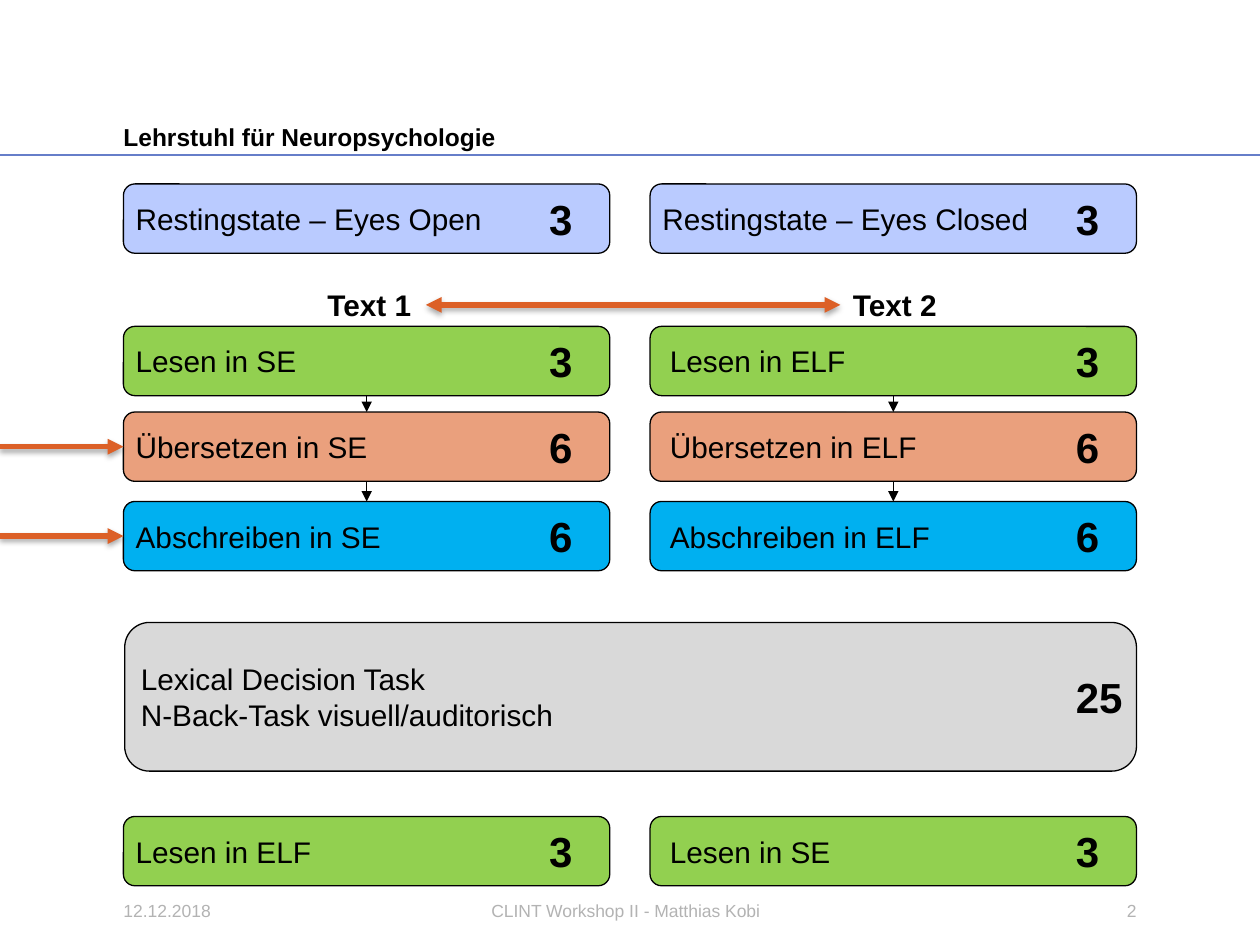
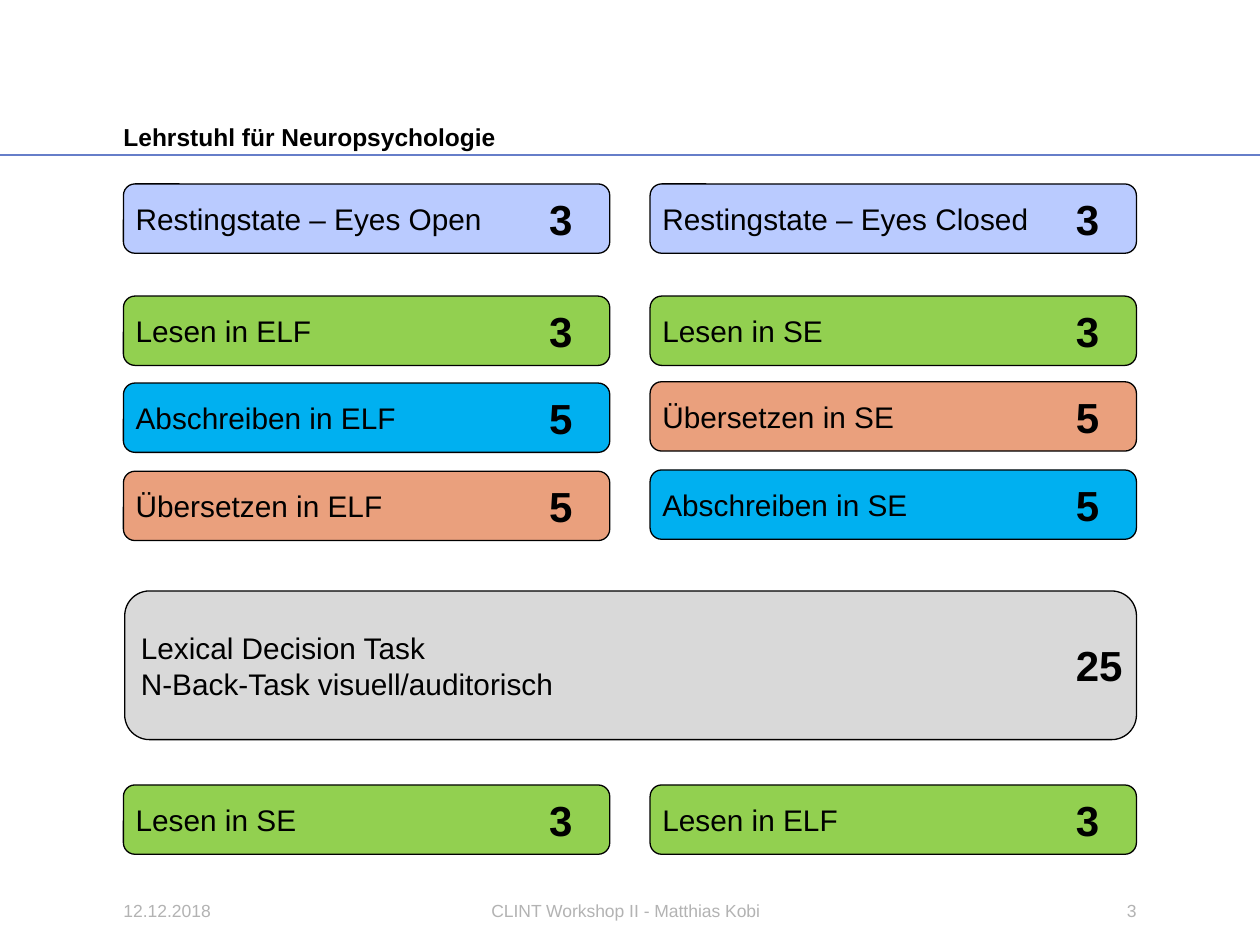
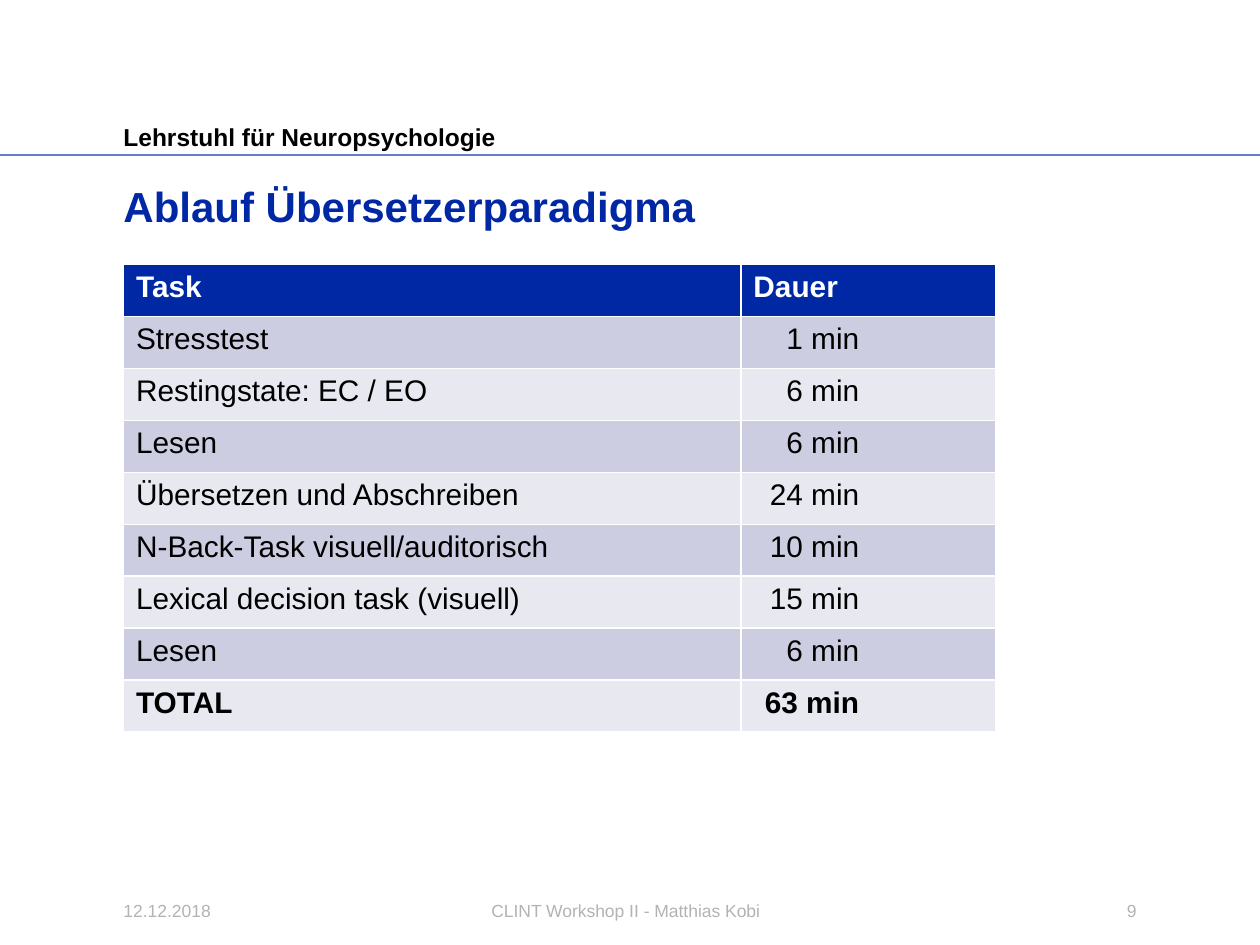
from lxml import etree
from pptx import Presentation
from pptx.dml.color import RGBColor
from pptx.enum.shapes import MSO_CONNECTOR, MSO_SHAPE
from pptx.enum.text import MSO_ANCHOR, MSO_AUTO_SIZE, PP_ALIGN
from pptx.oxml.ns import qn
from pptx.util import Inches, Pt

STRAIGHT, CURVE = MSO_CONNECTOR.STRAIGHT, MSO_CONNECTOR.CURVE
ROUNDED = MSO_SHAPE.ROUNDED_RECTANGLE
TOP, MIDDLE = MSO_ANCHOR.TOP, MSO_ANCHOR.MIDDLE
LEFT, CENTER, RIGHT = PP_ALIGN.LEFT, PP_ALIGN.CENTER, PP_ALIGN.RIGHT
NO_FIT, GROW = MSO_AUTO_SIZE.NONE, MSO_AUTO_SIZE.SHAPE_TO_FIT_TEXT

FONT = "Arial"
BLACK, WHITE, NAVY, ORANGE = "000000", "FFFFFF", "0028A5", "DC6027"
RULE_BLUE, FOOTER_GREY, TEST_GREY = "667EC9", "B3B3B3", "D9D9D9"
BAND_FILLS = ["CCCDE1", "E7E8F0"]
TASK_FILLS = {
    "Restingstate": "BACBFF",
    "Lesen": "92D050",
    "Übersetzen": "EAA07D",
    "Abschreiben": "00B0F0",
}
MARGIN, CONTENT_WIDTH = 0.98, 8.03
COLUMNS = [0.98, 5.16]
TASK_WIDTH, TASK_HEIGHT, TEST_HEIGHT = 3.86, 0.55, 1.18
MINUTES_OFFSET, MINUTES_HEIGHT = 3.28, 0.5
INDENT, WIDE_INDENT = 0.07, 0.13
RESTING = ["Restingstate – Eyes Open", "Restingstate – Eyes Closed"]
TESTS = ["Lexical Decision Task", "N-Back-Task visuell/auditorisch"]
SCHEDULE = [
    ("Task", "Dauer"),
    ("Stresstest", "1 min"),
    ("Restingstate: EC / EO", "6 min"),
    ("Lesen", "6 min"),
    ("Übersetzen und Abschreiben", "24 min"),
    ("N-Back-Task visuell/auditorisch", "10 min"),
    ("Lexical decision task (visuell)", "15 min"),
    ("Lesen", "6 min"),
    ("TOTAL", "63 min"),
]


def rgb(value):
    """Turn a hex string into a colour."""
    return RGBColor.from_string(value)


def write(frame, lines, size, color=BLACK, bold=False, align=LEFT):
    """Fill a text frame with one paragraph for each line."""
    for index, line in enumerate(lines):
        paragraph = frame.add_paragraph() if index else frame.paragraphs[0]
        paragraph.alignment = align
        run = paragraph.add_run()
        run.text = line
        values = {"name": FONT, "size": Pt(size), "bold": bold}
        for key, value in values.items():
            setattr(run.font, key, value)
        run.font.color.rgb = rgb(color)


def set_frame(frame, left=0, top=0, anchor=TOP):
    """Give a fixed, wrapping frame its insets and anchor."""
    values = {
        "margin_left": Inches(left),
        "margin_top": Inches(top),
        "margin_right": Inches(0),
        "margin_bottom": Inches(0),
        "vertical_anchor": anchor,
        "word_wrap": True,
        "auto_size": NO_FIT,
    }
    for key, value in values.items():
        setattr(frame, key, value)


def add_fixed_text(slide, box, text, inset_top=0, **style):
    """Add a text box of fixed size."""
    frame = slide.shapes.add_textbox(*map(Inches, box)).text_frame
    set_frame(frame, top=inset_top)
    write(frame, [text], **style)


def add_bold_label(slide, box, text, size):
    """Add a bold label that grows with its text."""
    frame = slide.shapes.add_textbox(*map(Inches, box)).text_frame
    frame.word_wrap = False
    frame.auto_size = GROW
    write(frame, [text], size, bold=True)


def add_line(slide, start, end, color, width, ends=(), kind=STRAIGHT, shadow=False):
    """Add a line with arrowheads at the named ends."""
    line = slide.shapes.add_connector(kind, *map(Inches, start + end))
    line.line.color.rgb = rgb(color)
    line.line.width = Pt(width)
    outline = line.line._get_or_add_ln()
    for end_name in ends:
        etree.SubElement(outline, qn(f"a:{end_name}"), type="triangle")
    effects = etree.SubElement(line._element.spPr, qn("a:effectLst"))
    if shadow:
        cast = etree.SubElement(effects, qn("a:outerShdw"), blurRad="40000",
                                dist="23000", dir="5400000", rotWithShape="0")
        tint = etree.SubElement(cast, qn("a:srgbClr"), val=BLACK)
        etree.SubElement(tint, qn("a:alpha"), val="35000")


def add_box(slide, box, lines, fill, indent=INDENT):
    """Add a rounded box with text on its left."""
    shape = slide.shapes.add_shape(ROUNDED, *map(Inches, box))
    shape.shadow.inherit = False
    shape.fill.solid()
    shape.fill.fore_color.rgb = rgb(fill)
    shape.line.color.rgb = rgb(BLACK)
    shape.line.width = Pt(0.75)
    set_frame(shape.text_frame, left=indent, anchor=MIDDLE)
    write(shape.text_frame, lines, 17)


def add_minutes(slide, column, top, height, minutes):
    """Add a duration centred on the height of its box."""
    width = 0.39 if len(minutes) == 1 else 0.58
    y = top + (height - MINUTES_HEIGHT) / 2
    add_bold_label(slide, (COLUMNS[column] + MINUTES_OFFSET, y, width, MINUTES_HEIGHT),
                   minutes, 24)


def add_task(slide, column, top, label, minutes, indent=INDENT):
    """Add a task box coloured by its activity, with its duration."""
    box = (COLUMNS[column], top, TASK_WIDTH, TASK_HEIGHT)
    add_box(slide, box, [label], TASK_FILLS[label.split()[0]], indent)
    add_minutes(slide, column, top, TASK_HEIGHT, minutes)


def add_paradigm(slide, columns, test_top, right_indent=INDENT):
    """Add the resting states, both task columns and the test block."""
    for column, (label, tasks) in enumerate(zip(RESTING, columns)):
        add_task(slide, column, 1.46, label, "3")
        for top, task, minutes in tasks:
            add_task(slide, column, top, task, minutes,
                     right_indent if column else INDENT)
    add_box(slide, (0.99, test_top, CONTENT_WIDTH, TEST_HEIGHT), TESTS, TEST_GREY)
    add_minutes(slide, 1, test_top, TEST_HEIGHT, "25")


def add_flow(slide, tops):
    """Add the text labels and the arrows between the tasks."""
    for column in COLUMNS:
        x = column + TASK_WIDTH / 2
        for upper, lower in zip(tops, tops[1:]):
            add_line(slide, (x, upper + TASK_HEIGHT), (x, lower), BLACK, 0.75, ["tailEnd"])
    for x, label in [(2.5, "Text 1"), (6.67, "Text 2")]:
        add_bold_label(slide, (x, 2.23, 0.87, 0.39), label, 17)
    add_line(slide, (3.38, 2.42), (6.67, 2.42), ORANGE, 3,
             ["headEnd", "tailEnd"], CURVE, True)
    for top in tops[1:]:
        y = top + TASK_HEIGHT / 2
        add_line(slide, (0, y), (MARGIN, y), ORANGE, 3, ["tailEnd"], shadow=True)


def add_schedule(slide):
    """Add the table of tasks and durations."""
    table = slide.shapes.add_table(len(SCHEDULE), 2, Inches(MARGIN), Inches(2.1),
                                   Inches(6.92), Inches(3.71)).table
    for column, width in zip(table.columns, (4.9, 2.02)):
        column.width = Inches(width)
    for row, texts in enumerate(SCHEDULE):
        header = row == 0
        bold = header or texts[0] == "TOTAL"
        for column, text in enumerate(texts):
            cell = table.cell(row, column)
            cell.fill.solid()
            cell.fill.fore_color.rgb = rgb(NAVY if header else BAND_FILLS[(row - 1) % 2])
            duration = column == 1 and not header
            if duration:
                cell.margin_right = Inches(1.08)
            write(cell.text_frame, [text], 17, WHITE if header else BLACK, bold,
                  RIGHT if duration else LEFT)


def add_title(slide, text):
    """Place and format the slide title."""
    title = slide.shapes.title
    values = {"left": MARGIN, "top": 1.39, "width": CONTENT_WIDTH, "height": 0.55}
    for key, value in values.items():
        setattr(title, key, Inches(value))
    set_frame(title.text_frame, top=0.04)
    write(title.text_frame, [text], 24, NAVY, True)


def add_slide(deck, layout, number):
    """Add a slide with the shared header and footer."""
    slide = deck.slides.add_slide(deck.slide_layouts[layout])
    add_line(slide, (0, 1.23), (10, 1.23), RULE_BLUE, 1.25)
    add_fixed_text(slide, (MARGIN, 0.93, CONTENT_WIDTH, 0.25),
                   "Lehrstuhl für Neuropsychologie", 0.04, size=14, bold=True)
    footers = [
        (MARGIN, 1.02, "12.12.2018", LEFT),
        (2.09, 5.75, "CLINT Workshop II - Matthias Kobi", CENTER),
        (8.15, 0.87, number, RIGHT),
    ]
    for left, width, text, align in footers:
        add_fixed_text(slide, (left, 7.14, width, 0.24), text,
                       size=10, color=FOOTER_GREY, align=align)
    return slide


def main():
    """Build and save the presentation."""
    deck = Presentation()
    deck.slide_width, deck.slide_height = Inches(10), Inches(7.5)

    tops = [2.59, 3.27, 3.98]
    reading_first = [
        [(2.59, "Lesen in SE", "3"), (3.27, "Übersetzen in SE", "6"),
         (3.98, "Abschreiben in SE", "6"), (6.48, "Lesen in ELF", "3")],
        [(2.59, "Lesen in ELF", "3"), (3.27, "Übersetzen in ELF", "6"),
         (3.98, "Abschreiben in ELF", "6"), (6.48, "Lesen in SE", "3")],
    ]
    slide = add_slide(deck, 6, "2")
    add_paradigm(slide, reading_first, 4.94, WIDE_INDENT)
    add_flow(slide, tops)

    swapped = [
        [(2.35, "Lesen in ELF", "3"), (3.04, "Abschreiben in ELF", "5"),
         (3.74, "Übersetzen in ELF", "5"), (6.23, "Lesen in SE", "3")],
        [(2.35, "Lesen in SE", "3"), (3.03, "Übersetzen in SE", "5"),
         (3.73, "Abschreiben in SE", "5"), (6.23, "Lesen in ELF", "3")],
    ]
    add_paradigm(add_slide(deck, 6, "3"), swapped, 4.69)

    slide = add_slide(deck, 5, "9")
    add_title(slide, "Ablauf Übersetzerparadigma")
    add_schedule(slide)
    deck.save("out.pptx")


main()
